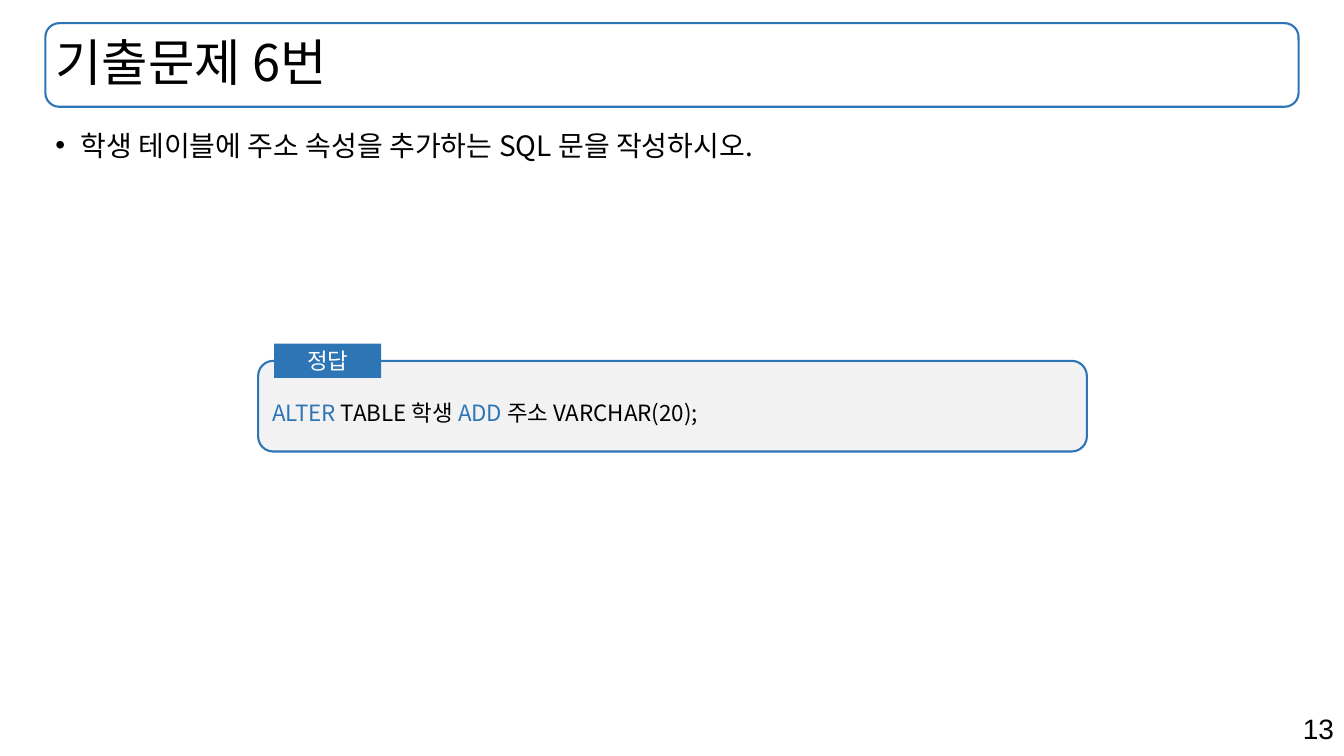
"""Build the exam question slide with its answer box."""
from typing import NamedTuple

from lxml import etree
from pptx import Presentation
from pptx import util as u
from pptx.dml.color import RGBColor
from pptx.enum import shapes, text
from pptx.oxml import ns

PX = 9144
BLUE, GRAY, BLACK, WHITE = "2E75B6", "F2F2F2", "000000", "FFFFFF"
SANS = "Noto Sans CJK KR"
ROUND = shapes.MSO_SHAPE.ROUNDED_RECTANGLE
RECT = shapes.MSO_SHAPE.RECTANGLE
LEFT, MID, RIGHT = text.PP_ALIGN.LEFT, text.PP_ALIGN.CENTER, text.PP_ALIGN.RIGHT


class Box(NamedTuple):
    """Place and size in px."""
    x: int
    y: int
    w: int
    h: int


class Panel(NamedTuple):
    """A filled or outlined shape with coloured runs of text."""
    kind: int
    box: Box
    fill: str | None
    line: str | None
    runs: list[tuple[str, str]]
    size: int = 16
    align: int = LEFT
    lead: float = 1.0


def tint(code: str) -> RGBColor:
    """Turn a hex string into a colour."""
    return RGBColor.from_string(code)


def area(box: Box) -> list[u.Emu]:
    """Turn a box into EMU lengths."""
    return [u.Emu(n * PX) for n in box]


def write(frame, runs: list[tuple[str, str]], *, size: int, font: str = SANS,
          align: int = LEFT, lead: float = 1.0, mid: bool = False,
          dot: bool = False) -> None:
    """Fill a text frame with one formatted paragraph."""
    frame.word_wrap = True
    frame.vertical_anchor = text.MSO_ANCHOR.MIDDLE if mid else text.MSO_ANCHOR.TOP
    para = frame.paragraphs[0]
    para.alignment, para.line_spacing = align, lead
    if dot:
        props = para._p.get_or_add_pPr()
        props.set("marL", str(25 * PX))
        props.set("indent", str(-25 * PX))
        etree.SubElement(props, ns.qn("a:buFont")).set("typeface", "Arial")
        etree.SubElement(props, ns.qn("a:buChar")).set("char", "•")
    for words, code in runs:
        run = para.add_run()
        run.text = words
        run.font.size, run.font.name = u.Pt(size), font
        run.font.color.rgb = tint(code)
        east = etree.SubElement(run._r.get_or_add_rPr(), ns.qn("a:ea"))
        east.set("typeface", font)


def draw(slide, panel: Panel) -> None:
    """Draw one panel."""
    shape = slide.shapes.add_shape(panel.kind, *area(panel.box))
    shape.shadow.inherit = False
    if panel.fill:
        shape.fill.solid()
        shape.fill.fore_color.rgb = tint(panel.fill)
    else:
        shape.fill.background()
    if panel.line:
        shape.line.color.rgb = tint(panel.line)
        shape.line.width = u.Pt(1.5)
    else:
        shape.line.fill.background()
    write(shape.text_frame, panel.runs, size=panel.size, align=panel.align,
          lead=panel.lead, mid=True)


def label(slide, box: Box, words: str, **form) -> None:
    """Add a plain text box."""
    frame = slide.shapes.add_textbox(*area(box)).text_frame
    write(frame, [(words, BLACK)], **form)


def main() -> None:
    """Build and save the slide."""
    deck = Presentation()
    deck.slide_width, deck.slide_height = u.Emu(1333 * PX), u.Emu(750 * PX)
    slide = deck.slides.add_slide(deck.slide_layouts[6])
    head = Box(45, 23, 1243, 83)
    query = [("ALTER", BLUE), (" TABLE 학생 ", BLACK), ("ADD ", BLUE),
             ("주소 VARCHAR(20);", BLACK)]

    label(slide, Box(943, 701, 390, 44), "13", size=20, font="Arial", align=RIGHT)
    draw(slide, Panel(ROUND, head, None, BLUE, []))
    label(slide, head, "기출문제 6번", size=36, lead=0.9, mid=True)
    label(slide, Box(45, 126, 1243, 553),
          "학생 테이블에 주소 속성을 추가하는 SQL 문을 작성하시오.",
          size=20, lead=0.9, dot=True)
    for panel in (
        Panel(ROUND, Box(256, 358, 822, 90), GRAY, BLUE, query, lead=1.5),
        Panel(RECT, Box(272, 341, 106, 34), BLUE, None, [("정답", WHITE)], align=MID),
    ):
        draw(slide, panel)
    deck.save("out.pptx")


if __name__ == "__main__":
    main()
